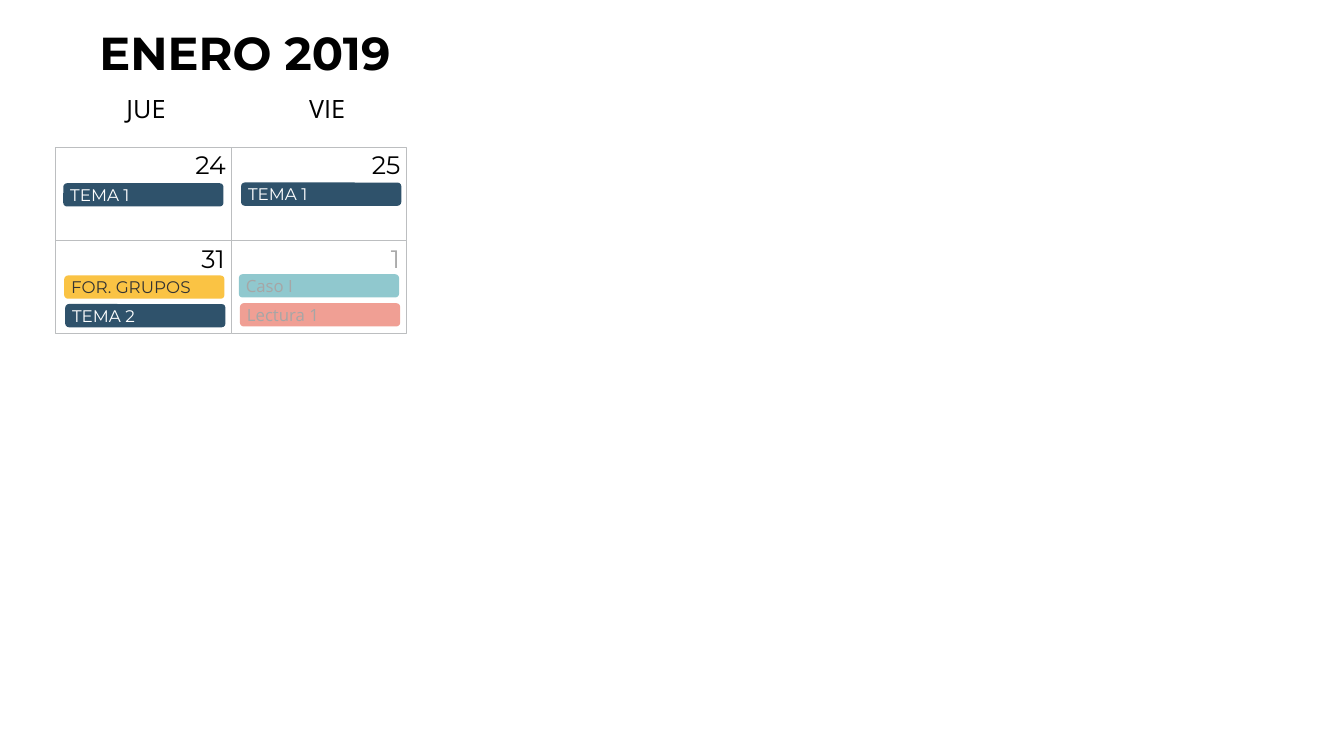
from dataclasses import dataclass

import lxml.etree
import pptx
import pptx.dml.color
import pptx.enum.shapes
import pptx.enum.text
import pptx.oxml.ns
import pptx.util

Pt = pptx.util.Pt
Shapes = pptx.enum.shapes.MSO_SHAPE
Anchor = pptx.enum.text.MSO_ANCHOR
Align = pptx.enum.text.PP_ALIGN


@dataclass(frozen=True)
class Theme:
    heading_font: str = "Montserrat"
    body_font: str = "Open Sans"
    title_size: float = 33
    day_size: float = 18
    event_size: float = 12
    black: str = "000000"
    white: str = "FFFFFF"
    charcoal: str = "333333"
    muted_day: str = "A8A8A8"
    muted_event: str = "A6A6A6"
    grid: str = "BCBEC0"
    navy: str = "2F526B"
    yellow: str = "FAC344"
    red: str = "E2412A"
    teal: str = "23929E"


THEME = Theme()
GRID_LEFT, GRID_TOP = 39.6, 105.3
CELL_WIDTH, CELL_HEIGHT = 125.6, 66.6
LABEL_HEIGHT = 21.8
BAR_WIDTH, BAR_HEIGHT = 114.5, 16.6
BAR_INSET = 4.2


@dataclass(frozen=True)
class Label:
    text: str
    left: float
    top: float
    width: float
    font: str = THEME.heading_font
    color: str = THEME.black


@dataclass(frozen=True)
class Event:
    text: str
    left: float
    top: float
    fill: str
    color: str = THEME.white
    font: str = THEME.heading_font
    opacity: int = 100


WEEKDAY_TOP = 66.3
WEEK_TOPS = (106.6, 173.6)
LABELS = (
    Label("JUE", 90.4, WEEKDAY_TOP, 28.1, THEME.body_font),
    Label("VIE", 221, WEEKDAY_TOP, 25.9, THEME.body_font),
    Label("24", 139.7, WEEK_TOPS[0], 22.3),
    Label("25", 265.7, WEEK_TOPS[0], 20.2),
    Label("31", 144, WEEK_TOPS[1], 16.6),
    Label("1", 279.4, WEEK_TOPS[1], 6.5, color=THEME.muted_day),
)
EVENTS = (
    Event("TEMA 1", 45.2, 130.9, THEME.navy),
    Event("TEMA 1", 172.3, 130.4, THEME.navy),
    Event("FOR. GRUPOS", 45.9, 196.8, THEME.yellow, THEME.charcoal),
    Event("TEMA 2", 46.6, 217.2, THEME.navy),
    Event("Caso I", 170.7, 195.9, THEME.teal, THEME.muted_event, THEME.body_font, 50),
    Event("Lectura 1", 171.5, 216.6, THEME.red, THEME.muted_event, THEME.body_font, 50),
)


def rgb(value: str) -> pptx.dml.color.RGBColor:
    return pptx.dml.color.RGBColor.from_string(value)


def write_text(shape, text: str, font: str, size: float, color: str,
               bold: bool = False, inset: float = 0, anchor=Anchor.TOP) -> None:
    """Fill a shape with one unwrapped, left-aligned line."""
    frame = shape.text_frame
    frame.margin_left = Pt(inset)
    frame.margin_right = frame.margin_top = frame.margin_bottom = 0
    frame.auto_size = pptx.enum.text.MSO_AUTO_SIZE.NONE
    frame.vertical_anchor = anchor
    frame.word_wrap = False
    para = frame.paragraphs[0]
    para.text = text
    para.alignment = Align.LEFT
    para.font.name = font
    para.font.size = Pt(size)
    para.font.bold = bold
    para.font.color.rgb = rgb(color)


def set_opacity(shape, percent: int) -> None:
    color = shape.fill._xPr.find(".//" + pptx.oxml.ns.qn("a:srgbClr"))
    alpha = lxml.etree.SubElement(color, pptx.oxml.ns.qn("a:alpha"))
    alpha.set("val", str(percent * 1000))


def add_title(page) -> None:
    title = page.shapes.title
    title.left, title.top, title.width, title.height = Pt(71), Pt(17.7), Pt(230), Pt(39.6)
    write_text(title, "ENERO 2019", THEME.heading_font, THEME.title_size,
               THEME.black, bold=True)


def add_cell(page, row: int, column: int) -> None:
    cell = page.shapes.add_shape(
        Shapes.RECTANGLE, Pt(GRID_LEFT + column * CELL_WIDTH),
        Pt(GRID_TOP + row * CELL_HEIGHT), Pt(CELL_WIDTH), Pt(CELL_HEIGHT))
    cell.shadow.inherit = False
    cell.fill.solid()
    cell.fill.fore_color.rgb = rgb(THEME.white)
    cell.line.color.rgb = rgb(THEME.grid)
    cell.line.width = Pt(0.75)


def add_label(page, label: Label) -> None:
    box = page.shapes.add_textbox(
        Pt(label.left), Pt(label.top), Pt(label.width), Pt(LABEL_HEIGHT))
    write_text(box, label.text, label.font, THEME.day_size, label.color)


def add_event(page, event: Event) -> None:
    bar = page.shapes.add_shape(
        Shapes.ROUNDED_RECTANGLE, Pt(event.left), Pt(event.top),
        Pt(BAR_WIDTH), Pt(BAR_HEIGHT))
    bar.adjustments[0] = 0.16
    bar.shadow.inherit = False
    bar.fill.solid()
    bar.fill.fore_color.rgb = rgb(event.fill)
    bar.line.fill.background()
    if event.opacity < 100:
        set_opacity(bar, event.opacity)
    write_text(bar, event.text, event.font, THEME.event_size, event.color,
               inset=BAR_INSET, anchor=Anchor.MIDDLE)


def main() -> None:
    deck = pptx.Presentation()
    deck.slide_width, deck.slide_height = Pt(960.5), Pt(540)
    page = deck.slides.add_slide(deck.slide_layouts.get_by_name("Title Only"))
    add_title(page)
    for row in range(2):
        for column in range(2):
            add_cell(page, row, column)
    for label in LABELS:
        add_label(page, label)
    for event in EVENTS:
        add_event(page, event)
    deck.save("out.pptx")


if __name__ == "__main__":
    main()
